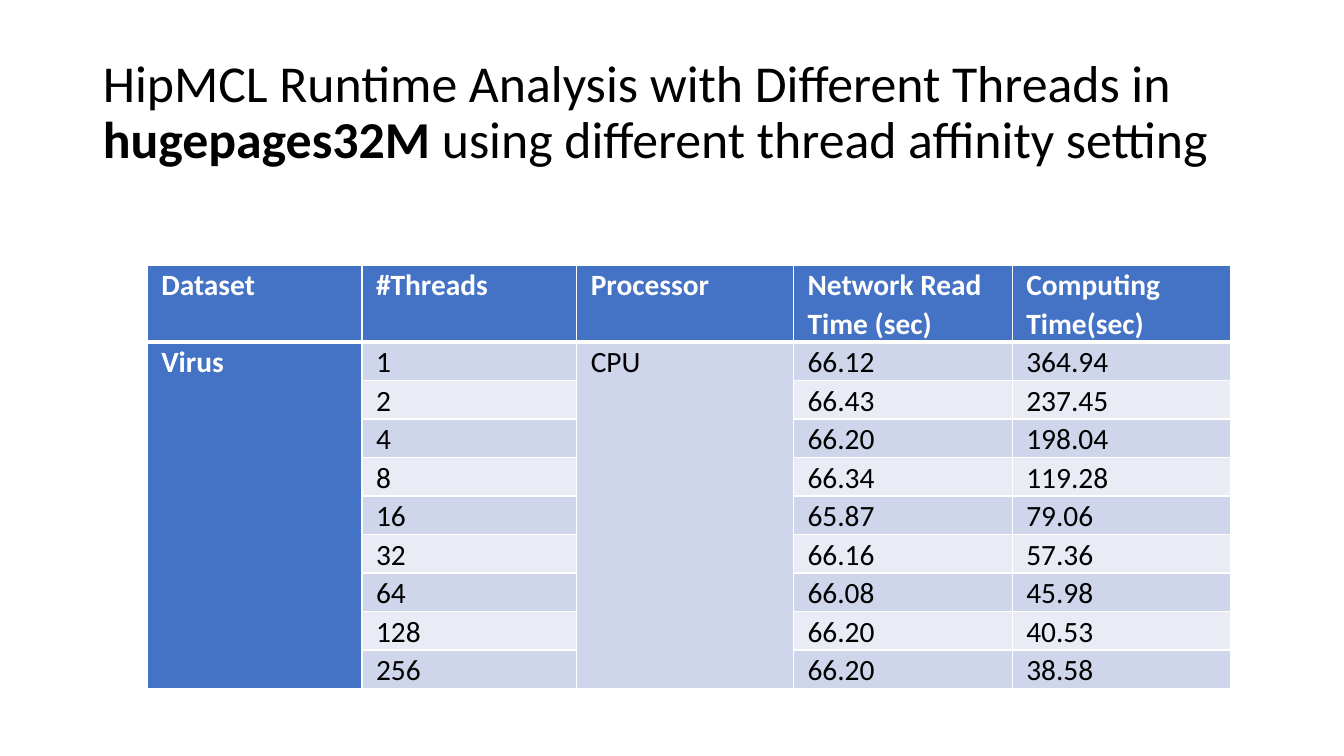
from lxml import etree
from pptx import Presentation
from pptx.dml.color import RGBColor
from pptx.enum.text import MSO_ANCHOR, MSO_AUTO_SIZE, PP_ALIGN
from pptx.oxml.ns import qn
from pptx.util import Inches, Pt

MIDDLE, TOP = MSO_ANCHOR.MIDDLE, MSO_ANCHOR.TOP
LEFT = PP_ALIGN.LEFT
NO_AUTOFIT = MSO_AUTO_SIZE.NONE
TITLE_ONLY = 5
FONT = "Calibri"
COLORS = {"text": "000000", "white": "FFFFFF", "header": "4472C4",
          "odd_band": "CFD5EA", "even_band": "E9EBF5"}

TITLE_PARTS = [("HipMCL Runtime Analysis with Different Threads in ", False),
               ("hugepages32M ", True),
               ("using different thread affinity setting", False)]
HEADERS = ["Dataset", "#Threads", "Processor", "Network Read Time (sec)",
           "Computing Time(sec)"]
TIMINGS = [("66.12", "364.94"), ("66.43", "237.45"), ("66.20", "198.04"),
           ("66.34", "119.28"), ("65.87", "79.06"), ("66.16", "57.36"),
           ("66.08", "45.98"), ("66.20", "40.53"), ("66.20", "38.58")]
COLUMN_WIDTHS = [2.13, 2.13, 2.15, 2.17, 2.17]
HEADER_HEIGHT, ROW_HEIGHT = 0.7, 0.38
DATASET_COLUMN, PROCESSOR_COLUMN = 0, 2
CELL_FORMAT = {"margin_left": Inches(0.14), "margin_right": Inches(0.14),
               "margin_top": 0, "margin_bottom": 0, "vertical_anchor": TOP}


def apply_format(target, values):
    """Set every attribute in values on target."""
    for attribute, value in values.items():
        setattr(target, attribute, value)


def add_run(paragraph, text, size, color, bold):
    """Append a formatted run to a paragraph."""
    run = paragraph.add_run()
    run.text = text
    apply_format(run.font, {"name": FONT, "size": Pt(size), "bold": bold})
    run.font.color.rgb = RGBColor.from_string(COLORS[color])


def add_title(slide):
    """Place the title and write its regular and bold parts."""
    title = slide.shapes.title
    apply_format(title, {"left": Inches(0.92), "top": Inches(0.4),
                         "width": Inches(11.5), "height": Inches(1.45)})
    apply_format(title.text_frame, {"word_wrap": True, "auto_size": NO_AUTOFIT,
                                    "vertical_anchor": MIDDLE})
    heading = title.text_frame.paragraphs[0]
    apply_format(heading, {"alignment": LEFT, "line_spacing": 0.9})
    for text, bold in TITLE_PARTS:
        add_run(heading, text, 37, "text", bold)


def set_borders(cell, bottom_width):
    """Give a cell white borders, 1 pt except for the bottom one."""
    properties = cell._tc.get_or_add_tcPr()
    for side, width in zip("LRTB", (1, 1, 1, bottom_width)):
        line = etree.SubElement(properties, qn(f"a:ln{side}"), w=str(Pt(width)))
        fill = etree.SubElement(line, qn("a:solidFill"))
        etree.SubElement(fill, qn("a:srgbClr"), val=COLORS["white"])


def style_cell(cell, text, row, column):
    """Write a cell and colour it by its place in the table."""
    is_heading = row == 0 or column == DATASET_COLUMN
    band = "odd_band" if row % 2 or column == PROCESSOR_COLUMN else "even_band"
    set_borders(cell, 3 if row == 0 else 1)
    cell.fill.solid()
    cell.fill.fore_color.rgb = RGBColor.from_string(
        COLORS["header" if is_heading else band])
    apply_format(cell, CELL_FORMAT)
    paragraph = cell.text_frame.paragraphs[0]
    paragraph.line_spacing = 1.07
    if text:
        add_run(paragraph, text, 21, "white" if is_heading else "text", is_heading)


def add_runtime_table(slide):
    """Add the table of read and computing times per thread count."""
    rows = [HEADERS]
    for index, (read_time, computing_time) in enumerate(TIMINGS):
        dataset, processor = ("Virus", "CPU") if index == 0 else ("", "")
        rows.append([dataset, str(2 ** index), processor, read_time, computing_time])

    heights = [HEADER_HEIGHT] + [ROW_HEIGHT] * len(TIMINGS)
    runtimes = slide.shapes.add_table(
        len(rows), len(HEADERS), Inches(1.46), Inches(2.63),
        Inches(sum(COLUMN_WIDTHS)), Inches(sum(heights))).table
    for column, width in zip(runtimes.columns, COLUMN_WIDTHS):
        column.width = Inches(width)
    for table_row, height in zip(runtimes.rows, heights):
        table_row.height = Inches(height)
    for row, texts in enumerate(rows):
        for column, text in enumerate(texts):
            style_cell(runtimes.cell(row, column), text, row, column)
    for column in (DATASET_COLUMN, PROCESSOR_COLUMN):
        runtimes.cell(1, column).merge(runtimes.cell(len(TIMINGS), column))


def main():
    """Build and save the slide."""
    deck = Presentation()
    deck.slide_width, deck.slide_height = Inches(13.33), Inches(7.5)
    slide = deck.slides.add_slide(deck.slide_layouts[TITLE_ONLY])
    add_title(slide)
    add_runtime_table(slide)
    deck.save("out.pptx")


main()
